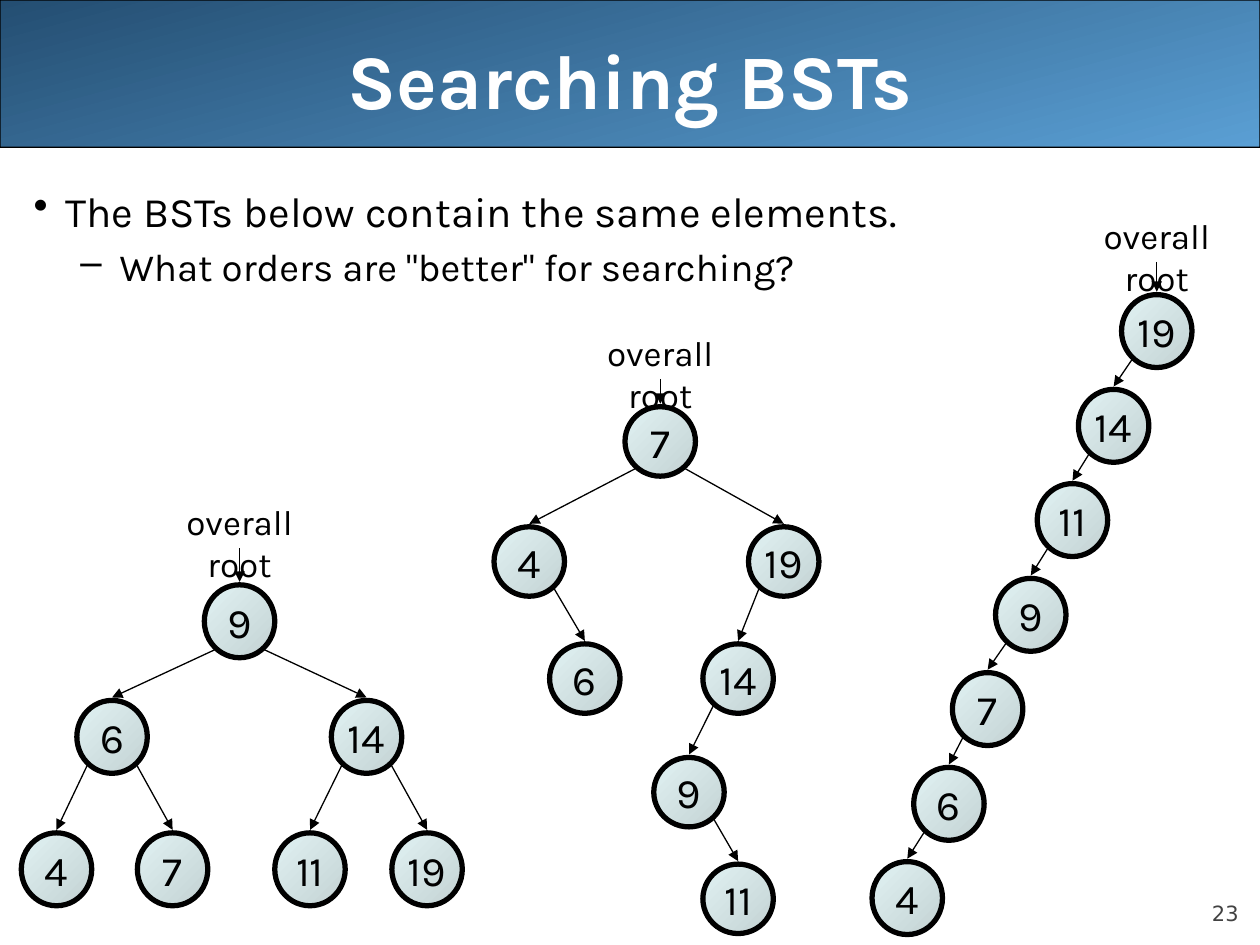
"""Build the slide that compares three binary search trees holding the same elements."""
from lxml.etree import SubElement
from pptx import Presentation
from pptx.dml.color import RGBColor
from pptx.enum.shapes import MSO_CONNECTOR, MSO_SHAPE
from pptx.enum.text import MSO_ANCHOR, PP_ALIGN
from pptx.oxml.ns import qn
from pptx.util import Cm, Pt

COLORS = {
    "black": "000000",
    "white": "FFFFFF",
    "gray": "424242",
    "banner_dark": "244E72",
    "banner_light": "5A9FD4",
    "node_light": "E1F2F3",
    "node_dark": "C3D2D3",
}
TITLE = {"size": Pt(44), "name": "Karla", "bold": True}
NODE = {"size": Pt(24), "name": "Karla"}
LABEL = {"size": Pt(20), "name": "Karla"}
NUMBER = {"size": Pt(12), "name": "DejaVu Sans"}
TOP = {"word_wrap": True, "vertical_anchor": MSO_ANCHOR.TOP}
MIDDLE = {"word_wrap": True, "vertical_anchor": MSO_ANCHOR.MIDDLE}
UNWRAPPED = {"word_wrap": False, "vertical_anchor": MSO_ANCHOR.MIDDLE}
CORNER = {
    "word_wrap": True, "vertical_anchor": MSO_ANCHOR.BOTTOM,
    "margin_left": 0, "margin_right": 0, "margin_top": 0, "margin_bottom": 0,
}

deck = Presentation()
deck.slide_width, deck.slide_height = Cm(25.4), Cm(19.05)
page = deck.slides.add_slide(deck.slide_layouts[6])


def add_gradient_shape(kind, place, colors, angle, line_width):
    shape = page.shapes.add_shape(kind, *map(Cm, place))
    shape.shadow.inherit = False
    shape.fill.gradient()
    shape.fill.gradient_angle = angle
    for stop, color in zip(shape.fill.gradient_stops, colors):
        stop.color.rgb = RGBColor.from_string(COLORS[color])
    shape.line.color.rgb = RGBColor.from_string(COLORS["black"])
    shape.line.width = Pt(line_width)
    return shape


def write(box, text, layout, font, color="black", alignment=PP_ALIGN.CENTER):
    for name, value in layout.items():
        setattr(box.text_frame, name, value)
    para = box.text_frame.paragraphs[0]
    para.alignment = alignment
    span = para.add_run()
    span.text = text
    for name, value in font.items():
        setattr(span.font, name, value)
    span.font.color.rgb = RGBColor.from_string(COLORS[color])


banner = add_gradient_shape(
    MSO_SHAPE.ROUNDED_RECTANGLE, (0, 0, 25.4, 2.97), ("banner_dark", "banner_light"), 285, 0.75
)
banner.adjustments[0] = 0.001

number = page.shapes.add_textbox(Cm(22.86), Cm(17.65), Cm(2.11), Cm(1.02))
write(number, "23", CORNER, NUMBER, "gray", PP_ALIGN.RIGHT)
title = page.shapes.add_textbox(Cm(1.27), Cm(0), Cm(22.86), Cm(3.18))
write(title, "Searching BSTs", MIDDLE, TITLE, "white")

body = page.shapes.add_textbox(Cm(0.43), Cm(3.61), Cm(24.97), Cm(14.4))
body.text_frame.word_wrap = True
bullets = [
    ("The BSTs below contain the same elements.", "•", 0, 24, 0, 0.64, -0.64),
    ('What orders are "better" for searching?', "–", 1, 22, 4.4, 1.73, -0.79),
]
for index, (text, mark, level, size, space, margin, indent) in enumerate(bullets):
    para = body.text_frame.add_paragraph() if index else body.text_frame.paragraphs[0]
    para.level = level
    para.space_before = Pt(space)
    properties = para._p.get_or_add_pPr()
    properties.set("marL", str(Cm(margin)))
    properties.set("indent", str(Cm(indent)))
    SubElement(properties, qn("a:buChar")).set("char", mark)
    span = para.add_run()
    span.text = text
    for name, value in {"size": Pt(size), "name": "Karla"}.items():
        setattr(span.font, name, value)
    span.font.color.rgb = RGBColor.from_string(COLORS["black"])

# Each node is value, centre, top and the value of its parent.
trees = [
    {
        "node_height": 1.4, "label_rise": 1.65,
        "nodes": [
            (7, 13.31, 8.2, None), (4, 10.67, 10.62, 7), (19, 15.8, 10.62, 7),
            (6, 11.79, 12.98, 4), (14, 14.88, 12.98, 19), (9, 13.89, 15.27, 14),
            (11, 14.88, 17.42, 9),
        ],
    },
    {
        "node_height": 1.47, "label_rise": 1.83,
        "nodes": [
            (9, 4.83, 11.79, None), (6, 2.26, 14.12, 9), (14, 7.39, 14.12, 9),
            (4, 1.14, 16.79, 6), (7, 3.48, 16.79, 6), (11, 6.25, 16.79, 14),
            (19, 8.61, 16.79, 14),
        ],
    },
    {
        "node_height": 1.47, "label_rise": 1.75,
        "nodes": [
            (19, 23.32, 5.94, None), (14, 22.45, 7.85, 19), (11, 21.62, 9.75, 14),
            (9, 20.78, 11.66, 11), (7, 19.91, 13.56, 9), (6, 19.13, 15.47, 7),
            (4, 18.29, 17.37, 6),
        ],
    },
]
node_width, label_width, label_height, arrow_gap = 1.42, 4.06, 1.09, 0.06

for tree in trees:
    height = tree["node_height"]
    places = {value: (center, top) for value, center, top, parent in tree["nodes"]}
    for value, center, top, parent in tree["nodes"]:
        node = add_gradient_shape(
            MSO_SHAPE.OVAL, (center - node_width / 2, top, node_width, height),
            ("node_light", "node_dark"), 315, 3,
        )
        write(node, str(value), UNWRAPPED, NODE)
        if parent is None:
            label_top = top - tree["label_rise"]
            label = page.shapes.add_textbox(
                Cm(center - label_width / 2), Cm(label_top), Cm(label_width), Cm(label_height)
            )
            write(label, "overall root", TOP, LABEL)
            start = (center, label_top + label_height)
        else:
            parent_center, parent_top = places[parent]
            side = 0.5 if center > parent_center else -0.5
            start = (parent_center + side, parent_top + 0.89 * height)
        arrow = page.shapes.add_connector(
            MSO_CONNECTOR.STRAIGHT, *map(Cm, (*start, center, top - arrow_gap))
        )
        arrow.line.color.rgb = RGBColor.from_string(COLORS["black"])
        arrow.line.width = Pt(0.75)
        SubElement(arrow.line._get_or_add_ln(), qn("a:tailEnd")).set("type", "triangle")
        SubElement(arrow._element.spPr, qn("a:effectLst"))

deck.save("out.pptx")
